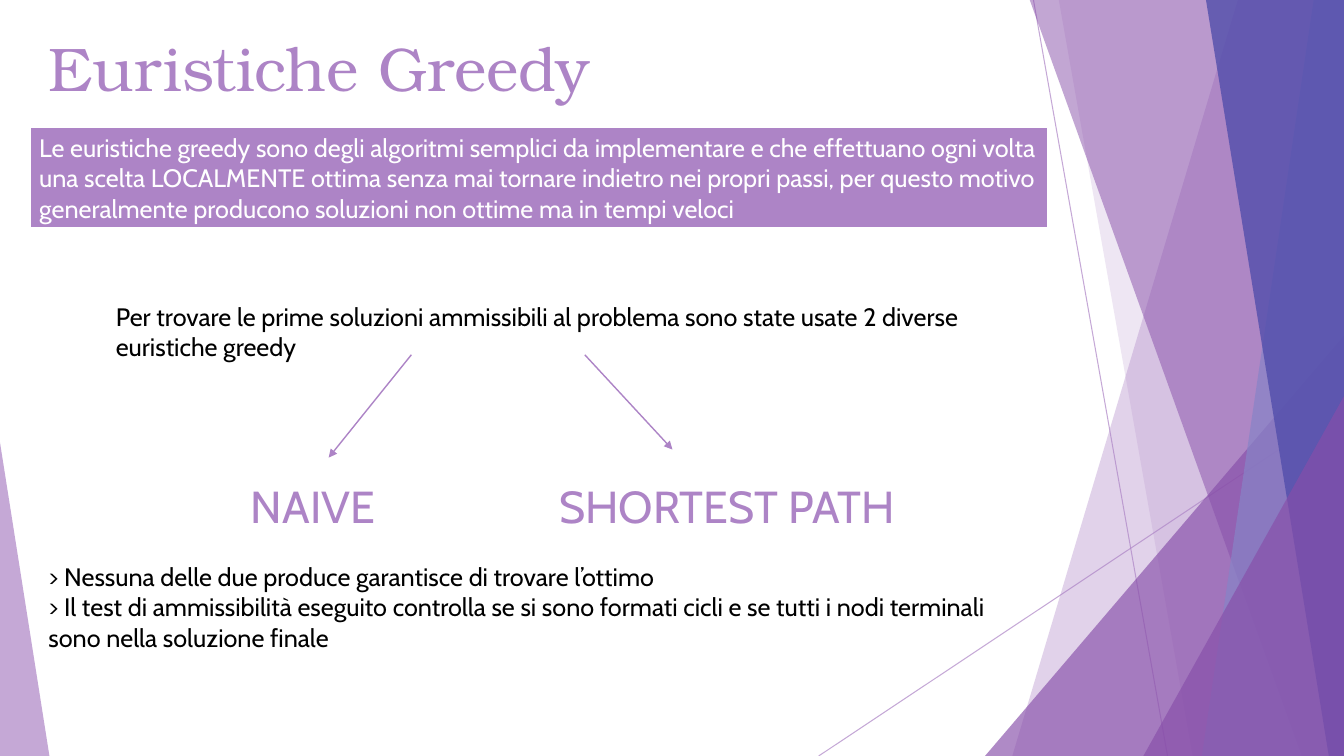
from lxml import etree
from pptx import Presentation
from pptx import util as u
from pptx.dml.color import RGBColor
from pptx.enum import shapes, text
from pptx.oxml.ns import qn

PX = 9144
COLORS = {
    "lilac": "AD84C6",
    "purple": "874EA9",
    "periwinkle": "8784C7",
    "indigo": "524EAB",
    "white": "FFFFFF",
    "black": "000000",
}


def rgb(name):
    return RGBColor.from_string(COLORS[name])


def write_text(shape, content, size=18, font="Cabin", color="black",
               anchor=text.MSO_ANCHOR.TOP, fit=text.MSO_AUTO_SIZE.NONE):
    frame = shape.text_frame
    frame.text = content
    frame.word_wrap = True
    frame.auto_size = fit
    frame.vertical_anchor = anchor
    for paragraph in frame.paragraphs:
        properties = paragraph._p.get_or_add_pPr()
        properties.set("marL", "0")
        properties.set("indent", "0")
        etree.SubElement(properties, qn("a:buNone"))
        paragraph.alignment = text.PP_ALIGN.LEFT
        paragraph.space_before = u.Pt(0)
        for run in paragraph.runs:
            run.font.size = u.Pt(size)
            run.font.name = font
            run.font.color.rgb = rgb(color)


class SlideBuilder:
    def __init__(self, presentation):
        self.slide = presentation.slides.add_slide(presentation.slide_layouts[1])
        self.shapes = self.slide.shapes

    def set_opacity(self, shape, percent):
        for color in shape.element.spPr.iter(qn("a:srgbClr")):
            etree.SubElement(color, qn("a:alpha"), val=str(percent * 1000))

    def paint(self, shape, color, opacity=100):
        shape.shadow.inherit = False
        shape.fill.solid()
        shape.fill.fore_color.rgb = rgb(color)
        shape.line.fill.background()
        if opacity < 100:
            self.set_opacity(shape, opacity)

    def line(self, start, end, width=1, opacity=100, arrow=False):
        connector = self.shapes.add_connector(
            shapes.MSO_CONNECTOR.STRAIGHT, *(v * PX for v in (*start, *end)))
        connector.line.width = u.Pt(width)
        connector.line.color.rgb = rgb("lilac")
        if opacity < 100:
            self.set_opacity(connector, opacity)
        if arrow:
            etree.SubElement(connector.line._get_or_add_ln(), qn("a:tailEnd"), type="triangle")
        etree.SubElement(connector.element.spPr, qn("a:effectLst"))

    def facet(self, top_left, bottom_left, color, opacity):
        builder = self.shapes.build_freeform(top_left, -1, scale=PX)
        builder.add_line_segments([(1333, -1), (1333, 750), (bottom_left, 750)])
        self.paint(builder.convert_to_shape(), color, opacity)

    def triangle(self, box, apex, color, opacity):
        shape = self.shapes.add_shape(
            shapes.MSO_SHAPE.ISOSCELES_TRIANGLE, *(v * PX for v in box))
        shape.adjustments[0] = apex
        self.paint(shape, color, opacity)

    def placeholder(self, index, box, content, **style):
        shape = self.slide.placeholders[index]
        shape.left, shape.top, shape.width, shape.height = (v * PX for v in box)
        write_text(shape, content, **style)
        shape.element.getparent().append(shape.element)

    def label(self, box, content, **style):
        shape = self.shapes.add_textbox(*(v * PX for v in box))
        write_text(shape, content, fit=text.MSO_AUTO_SIZE.SHAPE_TO_FIT_TEXT, **style)

    def banner(self, box, content):
        shape = self.shapes.add_shape(
            shapes.MSO_SHAPE.RECTANGLE, *(v * PX for v in box))
        self.paint(shape, "lilac")
        shape.line.color.rgb = rgb("white")
        shape.line.width = u.Pt(2)
        write_text(shape, content, color="white", anchor=text.MSO_ANCHOR.MIDDLE)


def draw_backdrop(builder):
    builder.line((1025, 0), (1158, 750), width=0.75, opacity=70)
    builder.line((1333, 403), (812, 750), width=0.75, opacity=70)
    builder.facet(1228, 1004, "lilac", 36)
    builder.facet(1050, 1183, "lilac", 20)
    builder.triangle((977, 333, 356, 417), 1, "purple", 66)
    builder.facet(1021, 1291, "purple", 50)
    builder.facet(1303, 1192, "periwinkle", 70)
    builder.facet(1196, 1318, "indigo", 80)
    builder.triangle((1134, 393, 199, 357), 1, "purple", 66)
    builder.triangle((0, 439, 49, 311), 0, "lilac", 70)


def draw_content(builder):
    builder.placeholder(0, (38, 25, 940, 144), "Euristiche Greedy",
                        size=44, font="TeX Gyre Bonum", color="lilac")
    builder.label((105, 294, 951, 71),
                  "Per trovare le prime soluzioni ammissibili al problema "
                  "sono state usate 2 diverse euristiche greedy")
    builder.banner((29, 126, 1011, 101),
                   "Le euristiche greedy sono degli algoritmi semplici da implementare "
                   "e che effettuano ogni volta una scelta LOCALMENTE ottima senza mai "
                   "tornare indietro nei propri passi, per questo motivo generalmente "
                   "producono soluzioni non ottime ma in tempi veloci")
    builder.line((408, 352), (326, 454), arrow=True)
    builder.line((580, 352), (667, 446), arrow=True)
    for left, width, heuristic in ((239, 188, "NAIVE"), (545, 380, "SHORTEST PATH")):
        builder.label((left, 470, width, 64), heuristic, size=32, color="lilac")
    builder.placeholder(1, (38, 552, 951, 101),
                        "> Nessuna delle due produce garantisce di trovare l’ottimo\n"
                        "> Il test di ammissibilità eseguito controlla se si sono formati "
                        "cicli e se tutti i nodi terminali sono nella soluzione finale")


def main():
    presentation = Presentation()
    presentation.slide_width = 1333 * PX
    presentation.slide_height = 750 * PX
    builder = SlideBuilder(presentation)
    draw_backdrop(builder)
    draw_content(builder)
    presentation.save("out.pptx")


if __name__ == "__main__":
    main()
